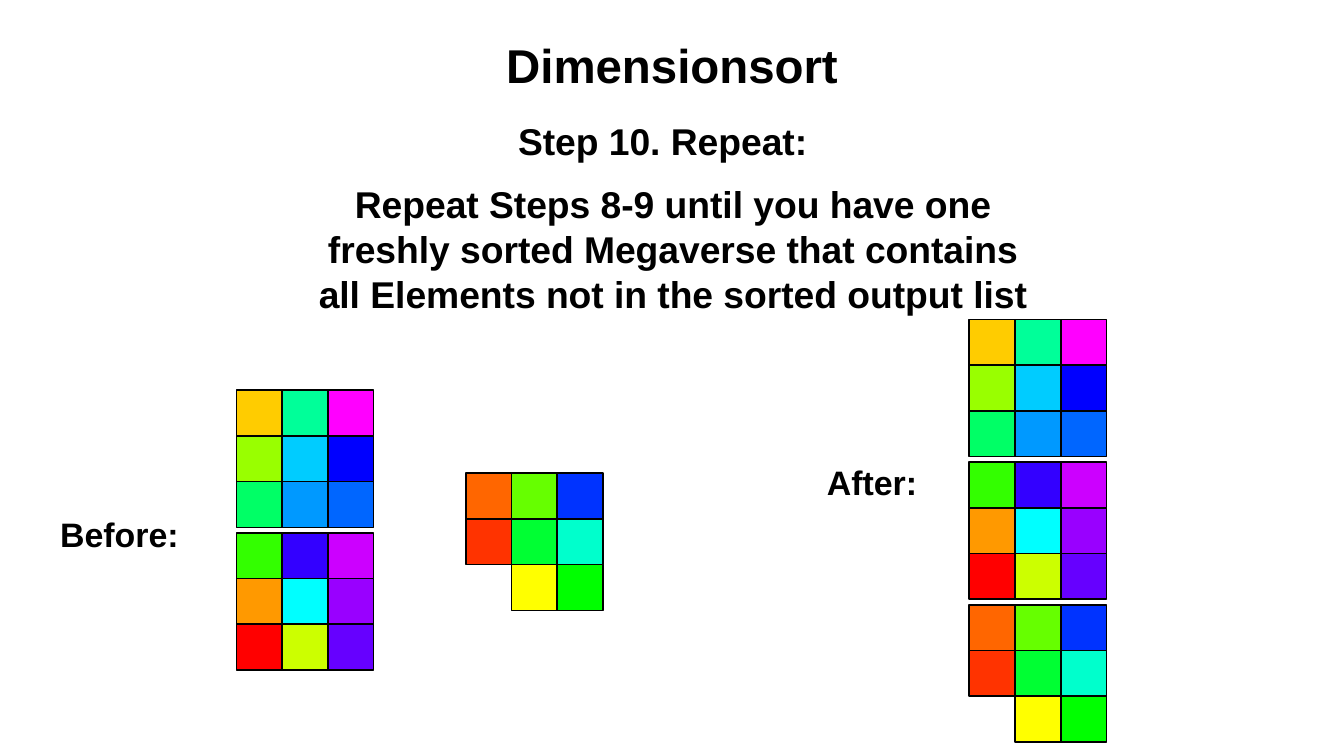
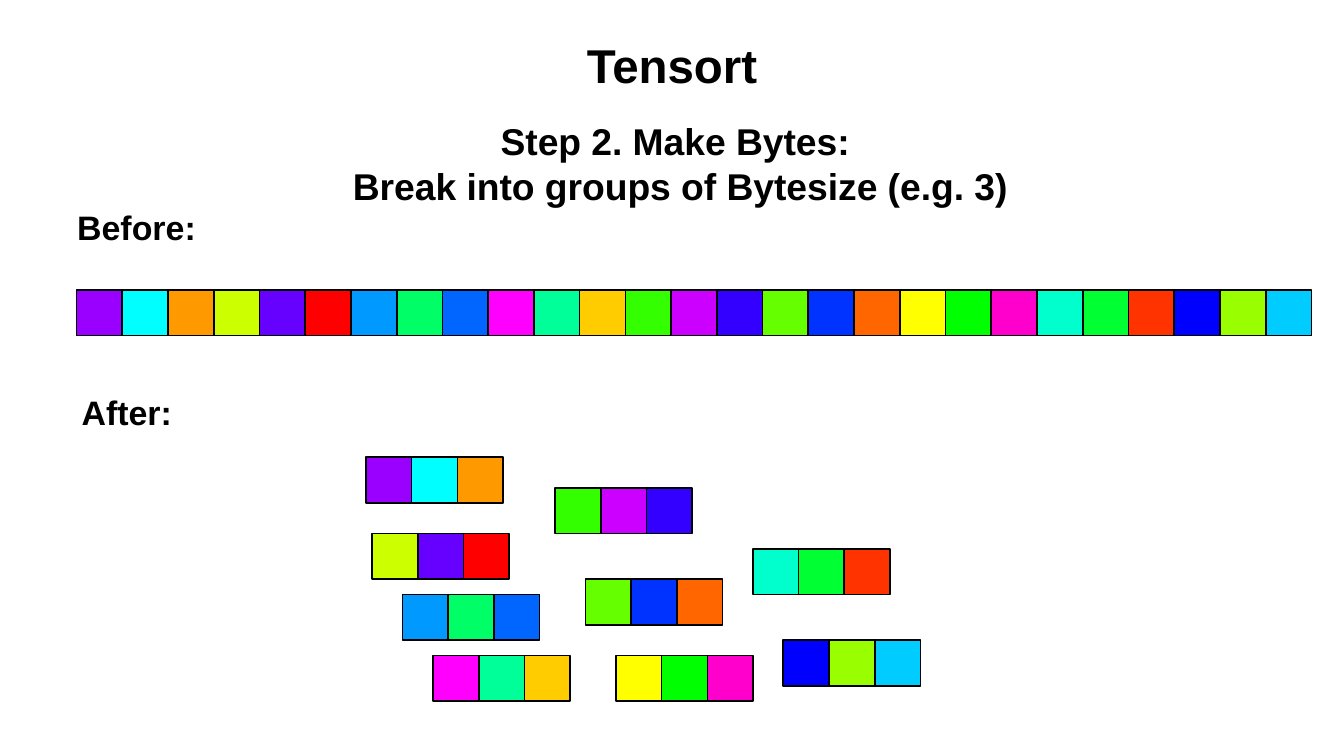
"""Build two slides that show steps of sorting colour squares."""
import pptx
import pptx.dml.color
import pptx.enum.shapes
import pptx.enum.text
import pptx.util

Pt = pptx.util.Pt
ALIGN = pptx.enum.text.PP_ALIGN
ANCHOR = pptx.enum.text.MSO_ANCHOR
FONT = "Arial"
INK = "000000"
CELL = 27
STACK = 84.24
TITLE = (39.6, 0.72, 714.24, 74.88)
LABEL = (138.24, 54)

FIRST = """FFCC00 00FF99 FF00FF
99FF00 00CCFF 0000FF
00FF66 0099FF 0066FF"""
SECOND = """33FF00 3300FF CC00FF
FF9900 00FFFF 9900FF
FF0000 CCFF00 6600FF"""
THIRD = """FF6600 66FF00 0033FF
FF3300 00FF33 00FFCC
- FFFF00 00FF00"""

BYTES = [
    (216, 270, "9900FF 00FFFF FF9900"),
    (219.6, 315, "CCFF00 6600FF FF0000"),
    (237.6, 351, "0099FF 00FF66 0066FF"),
    (255.6, 387, "FF00FF 00FF99 FFCC00"),
    (327.6, 288, "33FF00 CC00FF 3300FF"),
    (345.6, 342, "66FF00 0033FF FF6600"),
    (363.6, 387, "FFFF00 00FF00 FF00CC"),
    (444.4, 324, "00FFCC 00FF33 FF3300"),
    (462.4, 378, "0000FF 99FF00 00CCFF"),
]


def color(target, value):
    """Give a fill or font colour a hex value."""
    target.rgb = pptx.dml.color.RGBColor.from_string(value)


def write(shape, text, size, align=ALIGN.CENTER, anchor=ANCHOR.MIDDLE, pad=(0, 0)):
    """Put bold text in a shape."""
    frame = shape.text_frame
    frame.text = text
    frame.word_wrap = True
    frame.auto_size = pptx.enum.text.MSO_AUTO_SIZE.NONE
    frame.vertical_anchor = anchor
    frame.margin_left = frame.margin_right = Pt(pad[0])
    frame.margin_top = frame.margin_bottom = Pt(pad[1])
    for line in frame.paragraphs:
        line.alignment = align
        line.space_before = Pt(0)
        for run in line.runs:
            run.font.name = FONT
            run.font.size = Pt(size)
            run.font.bold = True
            color(run.font.color, INK)


def place(shape, left, top, width, height):
    """Move and size a shape."""
    shape.left, shape.top = Pt(left), Pt(top)
    shape.width, shape.height = Pt(width), Pt(height)


def box(slide, left, top, width, height):
    """Add an empty text box."""
    return slide.shapes.add_textbox(Pt(left), Pt(top), Pt(width), Pt(height))


def start(deck, title, before, after):
    """Add a slide with its title and the two state labels."""
    slide = deck.slides.add_slide(deck.slide_layouts[0])
    place(slide.shapes.title, *TITLE)
    write(slide.shapes.title, title, 28)
    label = slide.placeholders[1]
    place(label, *before, *LABEL)
    write(label, "Before:", 20)
    write(box(slide, *after, *LABEL), "After:", 20)
    return slide


def step(slide, text, area, align=ALIGN.CENTER):
    """Add a text box that describes the step."""
    write(box(slide, *area), text, 22, align, ANCHOR.TOP, (7.2, 3.6))


def square(slide, left, top, value):
    """Add one coloured element."""
    kind = pptx.enum.shapes.MSO_SHAPE.RECTANGLE
    shape = slide.shapes.add_shape(kind, Pt(left), Pt(top), Pt(CELL), Pt(CELL))
    shape.shadow.inherit = False
    shape.fill.solid()
    color(shape.fill.fore_color, value)
    color(shape.line.color, INK)
    shape.line.width = Pt(1)


def grid(slide, left, top, rows):
    """Add rows of elements, where a dash leaves a gap."""
    for down, row in enumerate(rows.splitlines()):
        for across, value in enumerate(row.split()):
            if value != "-":
                square(slide, left + across * CELL, top + down * CELL, value)


def stack(slide, left, top, *grids):
    """Add grids one below the other."""
    for index, rows in enumerate(grids):
        grid(slide, left, top + index * STACK, rows)


def repeat(deck):
    """Build the slide on repeating the merge."""
    slide = start(deck, "Dimensionsort", (1.44, 288), (445.68, 257.76))
    step(slide, "Step 10. Repeat:", (298.8, 66.24, 429.12, 56.16), ALIGN.LEFT)
    step(slide, "Repeat Steps 8-9 until you have one\n"
                "freshly sorted Megaverse that contains\n"
                "all Elements not in the sorted output list",
         (146.88, 103.68, 501.12, 80.64))
    stack(slide, 139.6, 230.4, FIRST, SECOND)
    grid(slide, 275, 279.4, THIRD)
    stack(slide, 572.2, 188.6, FIRST, SECOND, THIRD)


def split(deck):
    """Build the slide on splitting the list into bytes."""
    slide = start(deck, "Tensort", (11.52, 107.28), (5.76, 216))
    step(slide, "Step 2. Make Bytes: \nBreak into groups of Bytesize (e.g. 3)",
         (187.2, 66.24, 429.12, 56.16))
    grid(slide, 45.2, 171.2, " ".join(row for _, _, row in BYTES))
    for left, top, row in BYTES:
        grid(slide, left, top, row)


def main():
    """Build and save the deck."""
    deck = pptx.Presentation()
    deck.slide_width, deck.slide_height = Pt(793.44), Pt(446.4)
    repeat(deck)
    split(deck)
    deck.save("out.pptx")


if __name__ == "__main__":
    main()
